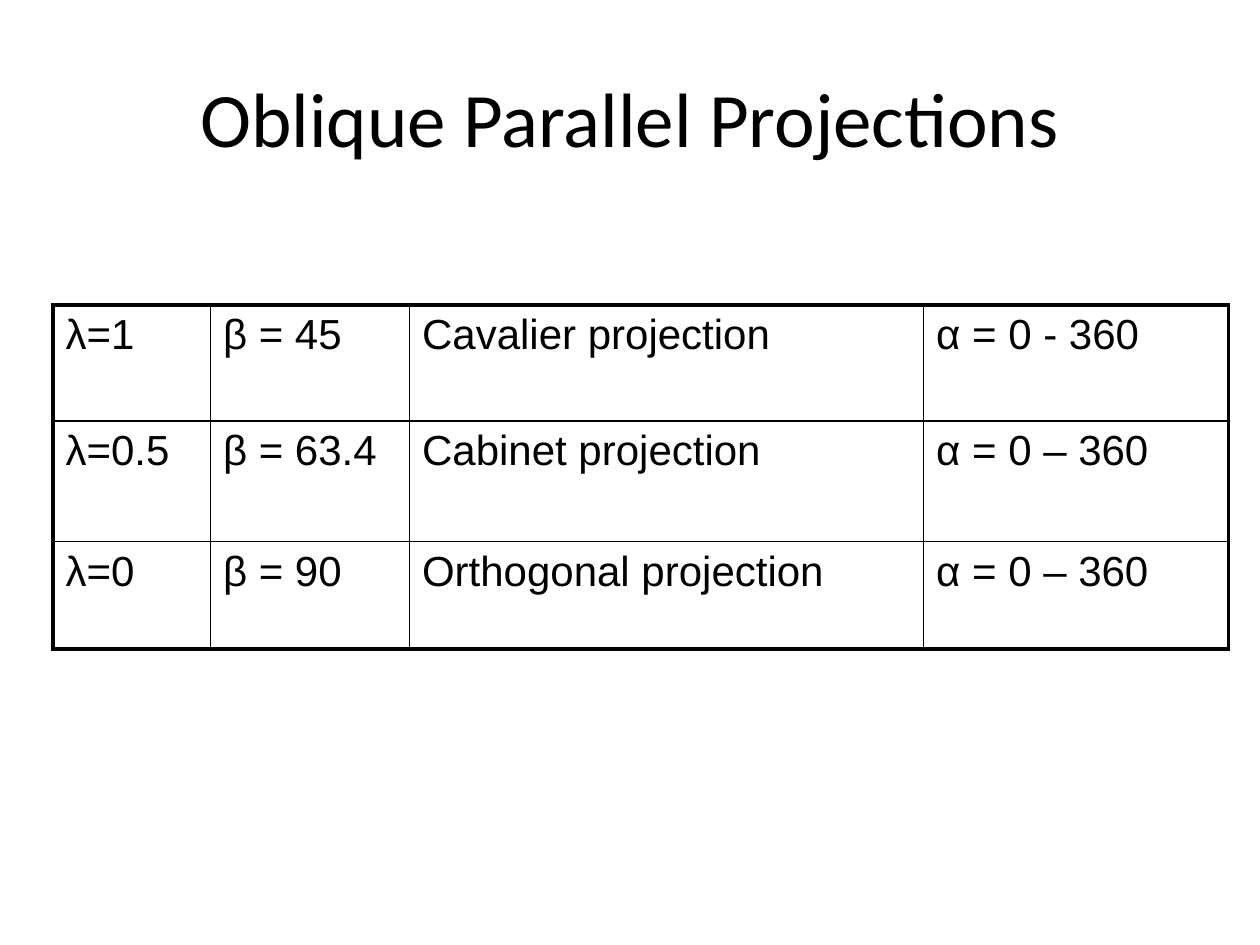
from lxml.etree import SubElement
from pptx import Presentation
from pptx.dml.color import RGBColor
from pptx.enum.text import MSO_ANCHOR, PP_ALIGN
from pptx.oxml.ns import qn
from pptx.util import Inches, Pt

BLACK = RGBColor(0x00, 0x00, 0x00)
INNER, OUTER = Pt(1), Pt(2.25)

TITLE = "Oblique Parallel Projections"
PROJECTIONS = [
    ("λ=1", "β = 45", "Cavalier projection", "α = 0 - 360"),
    ("λ=0.5", "β = 63.4", "Cabinet projection", "α = 0 – 360"),
    ("λ=0", "β = 90", "Orthogonal projection", "α = 0 – 360"),
]
COL_WIDTHS = [1.25, 1.58, 4.08, 2.42]
ROW_HEIGHTS = [0.92, 0.96, 0.85]


def write(tf, text, font="Arial", size=24, align=PP_ALIGN.LEFT):
    p = tf.paragraphs[0]
    p.alignment = align
    r = p.add_run()
    r.text = text
    r.font.name = font
    r.font.size = Pt(size)
    r.font.color.rgb = BLACK


def set_borders(cell, widths):
    """Draw solid cell borders; widths are left, right, top, bottom."""
    tc_pr = cell._tc.get_or_add_tcPr()
    for i, (side, width) in enumerate(zip("LRTB", widths)):
        ln = tc_pr.makeelement(qn(f"a:ln{side}"), {"w": str(width)})
        fill = SubElement(ln, qn("a:solidFill"))
        SubElement(fill, qn("a:srgbClr"), val=str(BLACK))
        tc_pr.insert(i, ln)


def add_title(slide):
    box = slide.shapes.add_textbox(Inches(0.5), Inches(0.3), Inches(9), Inches(1.25))
    tf = box.text_frame
    tf.word_wrap = True
    tf.vertical_anchor = MSO_ANCHOR.MIDDLE
    write(tf, TITLE, font="Calibri", size=44, align=PP_ALIGN.CENTER)


def add_projection_table(slide):
    n_rows, n_cols = len(ROW_HEIGHTS), len(COL_WIDTHS)
    table = slide.shapes.add_table(
        n_rows, n_cols, Inches(0.42), Inches(2.42),
        Inches(sum(COL_WIDTHS)), Inches(sum(ROW_HEIGHTS))).table
    table.first_row = table.horz_banding = False
    for col, width in zip(table.columns, COL_WIDTHS):
        col.width = Inches(width)
    for row, height in zip(table.rows, ROW_HEIGHTS):
        row.height = Inches(height)

    for i, values in enumerate(PROJECTIONS):
        for j, text in enumerate(values):
            cell = table.cell(i, j)
            cell.fill.background()
            write(cell.text_frame, text)
            on_edge = (j == 0, j == n_cols - 1, i == 0, i == n_rows - 1)
            set_borders(cell, [OUTER if edge else INNER for edge in on_edge])


def main():
    prs = Presentation()
    prs.slide_width, prs.slide_height = Inches(10), Inches(7.5)
    slide = prs.slides.add_slide(prs.slide_layouts[6])
    add_title(slide)
    add_projection_table(slide)
    prs.save("out.pptx")


if __name__ == "__main__":
    main()
